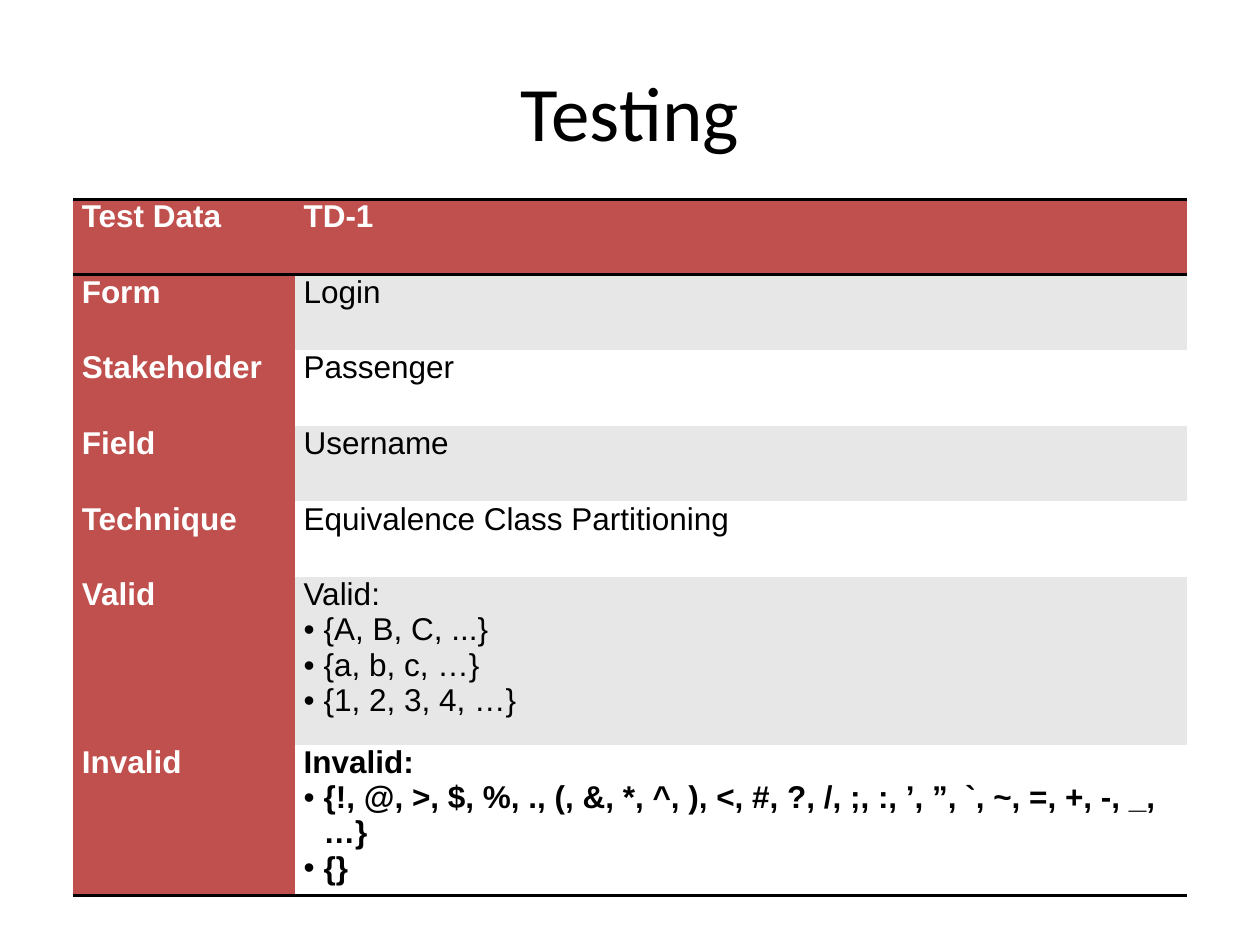
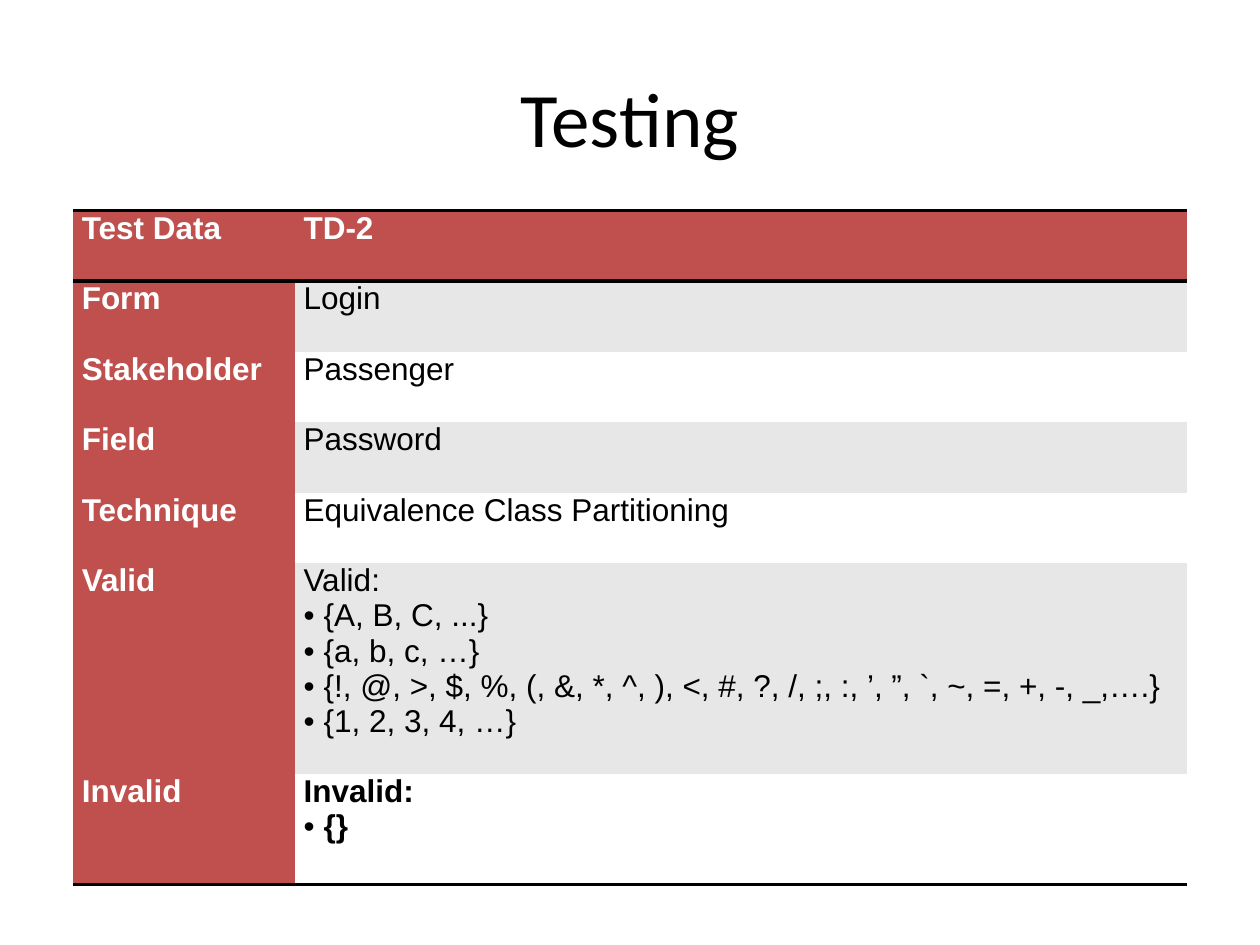
from dataclasses import dataclass

from lxml.etree import SubElement
from pptx import Presentation
from pptx.dml.color import RGBColor
from pptx.enum.text import MSO_ANCHOR, PP_ALIGN
from pptx.oxml.ns import qn
from pptx.util import Inches, Pt


@dataclass(frozen=True)
class Theme:
    title_font: str = "Calibri"
    body_font: str = "Arial"
    title_size: int = 44
    body_size: int = 18
    rule_width: int = 2
    ink: str = "000000"
    paper: str = "FFFFFF"
    accent: str = "C0504D"
    band: str = "E7E7E7"


THEME = Theme()
NO_STYLE_NO_GRID = "{2D5ABB26-0587-4C30-8999-92F81FD0307C}"
COLUMN_WIDTHS = (1.76, 7.08)
TABLE_LEFT = 0.58
CELL_INSET = 0.07
BULLET_INDENT = 0.16
FIELDS = ("Test Data", "Form", "Stakeholder", "Field", "Technique", "Valid", "Invalid")


@dataclass(frozen=True)
class TestCase:
    code: str
    field: str
    valid: tuple
    invalid: tuple
    title_top: float
    table_top: float
    short_row: float
    valid_row: float
    invalid_row: float

    def values(self):
        return (self.code, "Login", "Passenger", self.field,
                "Equivalence Class Partitioning", "Valid:", "Invalid:")

    def row_heights(self):
        return [self.short_row] * 5 + [self.valid_row, self.invalid_row]


TEST_CASES = (
    TestCase(
        "TD-1", "Username",
        valid=("{A, B, C, ...}", "{a, b, c, …}", "{1, 2, 3, 4, …}"),
        invalid=("{!, @, >, $, %, ., (, &, *, ^, ), <, #, ?, /, ;, :, ’, ”, `, ~, =, +, -, _, …}",
                 "{}"),
        title_top=0.25, table_top=1.58,
        short_row=0.6, valid_row=1.33, invalid_row=1.16),
    TestCase(
        "TD-2", "Password",
        valid=("{A, B, C, ...}", "{a, b, c, …}",
               "{!, @, >, $, %, (, &, *, ^, ), <, #, ?, /, ;, :, ’, ”, `, ~, =, +, -, _,….}",
               "{1, 2, 3, 4, …}"),
        invalid=("{}",),
        title_top=0.3, table_top=1.67,
        short_row=0.56, valid_row=1.67, invalid_row=0.88),
)


def write(paragraph, text, *, font=THEME.body_font, size=THEME.body_size,
          color=THEME.ink, bold=False, align=PP_ALIGN.LEFT, bullet=False):
    paragraph.alignment = align
    run = paragraph.add_run()
    run.text = text
    run.font.name = font
    run.font.size = Pt(size)
    run.font.bold = bold
    run.font.color.rgb = RGBColor.from_string(color)
    if bullet:
        properties = paragraph._p.get_or_add_pPr()
        indent = Inches(BULLET_INDENT)
        properties.set("marL", str(indent))
        properties.set("indent", str(-indent))
        SubElement(properties, qn("a:buFont"), typeface=font)
        SubElement(properties, qn("a:buChar"), char="•")


def add_title(slide, text, top):
    title = slide.shapes.add_textbox(Inches(0.5), Inches(top), Inches(9), Inches(1.25))
    frame = title.text_frame
    frame.word_wrap = True
    frame.vertical_anchor = MSO_ANCHOR.MIDDLE
    write(frame.paragraphs[0], text, font=THEME.title_font,
          size=THEME.title_size, align=PP_ALIGN.CENTER)


def draw_rules(cell, sides):
    """Rule the given sides of a cell; call before filling, as lines precede fills."""
    for side in sides:
        line = SubElement(cell._tc.get_or_add_tcPr(), qn(f"a:ln{side}"),
                          w=str(Pt(THEME.rule_width)))
        fill = SubElement(line, qn("a:solidFill"))
        SubElement(fill, qn("a:srgbClr"), val=THEME.ink)


def fill_cell(cell, text, items=(), *, background, rules="", **text_format):
    cell.margin_left = cell.margin_right = Inches(CELL_INSET)
    cell.margin_top = cell.margin_bottom = 0
    draw_rules(cell, rules)
    cell.fill.solid()
    cell.fill.fore_color.rgb = RGBColor.from_string(background)
    frame = cell.text_frame
    write(frame.paragraphs[0], text, **text_format)
    for item in items:
        write(frame.add_paragraph(), item, bullet=True, **text_format)


def add_test_table(slide, case):
    heights = case.row_heights()
    table = slide.shapes.add_table(
        len(FIELDS), len(COLUMN_WIDTHS), Inches(TABLE_LEFT), Inches(case.table_top),
        Inches(sum(COLUMN_WIDTHS)), Inches(sum(heights))).table
    table.horz_banding = False
    table._tbl.tblPr.find(qn("a:tableStyleId")).text = NO_STYLE_NO_GRID
    for column, width in zip(table.columns, COLUMN_WIDTHS):
        column.width = Inches(width)
    for row, height in zip(table.rows, heights):
        row.height = Inches(height)

    heading = dict(background=THEME.accent, color=THEME.paper, bold=True)
    bullets = {"Valid": case.valid, "Invalid": case.invalid}
    last = len(FIELDS) - 1
    for index, (field, value) in enumerate(zip(FIELDS, case.values())):
        rules = {0: "TB", last: "B"}.get(index, "")
        band = THEME.band if index % 2 else THEME.paper
        detail = heading if index == 0 else dict(background=band, bold=index == last)
        fill_cell(table.cell(index, 0), field, rules=rules, **heading)
        fill_cell(table.cell(index, 1), value, bullets.get(field, ()),
                  rules=rules, **detail)


def main():
    deck = Presentation()
    deck.slide_width, deck.slide_height = Inches(10), Inches(7.5)
    blank = deck.slide_layouts[6]
    for case in TEST_CASES:
        slide = deck.slides.add_slide(blank)
        add_title(slide, "Testing", case.title_top)
        add_test_table(slide, case)
    deck.save("out.pptx")


if __name__ == "__main__":
    main()
